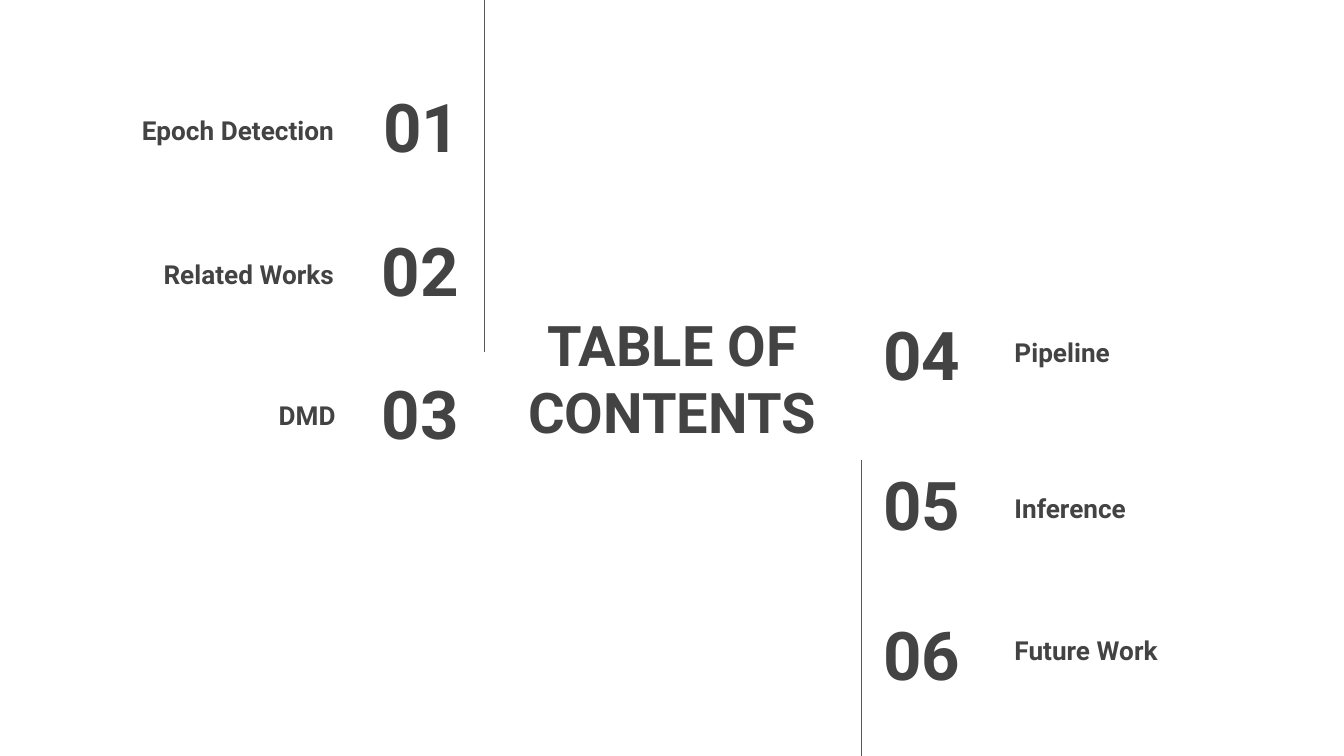
from dataclasses import dataclass

import pptx
import pptx.dml.color
import pptx.enum.shapes
import pptx.enum.text
import pptx.oxml.ns
import pptx.util
from lxml import etree
from pptx.enum.text import MSO_ANCHOR, PP_ALIGN

COLORS = {"background": "FFFFFF", "text": "434343", "rule": "595959"}
FONT = "Roboto"

# Grid of square cells on a 16:9 slide: 100 columns by 56.25 rows
CELL = 0.1
COLS, ROWS = 100, 56.25
BOX_ROWS = 6.3


@dataclass(frozen=True)
class Entry:
    number: str
    label: str
    label_row: float
    number_shift: float = 0  # columns to the right
    label_shift: float = 0


@dataclass(frozen=True)
class Side:
    align: PP_ALIGN
    number_col: float
    number_cols: float
    label_col: float
    first_row: float
    pitch: float
    entries: tuple[Entry, ...]


@dataclass(frozen=True)
class Rule:
    col: float
    top: float
    bottom: float


SIDES = (
    Side(PP_ALIGN.RIGHT, 23.03, 12.1, 4.25, 6.23, 10.65, (
        Entry("01", "Epoch Detection", 5.53, number_shift=0.12),
        Entry("02", "Related Works", 16.23),
        Entry("03", "DMD", 26.74, label_shift=0.12),
    )),
    Side(PP_ALIGN.LEFT, 64.75, 11.7, 74.5, 23.2, 11.15, (
        Entry("04", "Pipeline", 22.1),
        Entry("05", "Inference", 33.7),
        Entry("06", "Future Work", 44.24),
    )),
)
RULES = (Rule(36.07, 0, 26.2), Rule(64.1, 34.23, 56.4))


def cells(n: float) -> pptx.util.Emu:
    return pptx.util.Inches(n * CELL)


def rgb(name: str) -> pptx.dml.color.RGBColor:
    return pptx.dml.color.RGBColor.from_string(COLORS[name])


def place(sp, col: float, row: float, width: float, height: float) -> None:
    sp.left, sp.top = cells(col), cells(row)
    sp.width, sp.height = cells(width), cells(height)


def write(sp, text: str, size: float, align: PP_ALIGN, anchor: MSO_ANCHOR) -> None:
    tf = sp.text_frame
    tf.word_wrap = True
    tf.auto_size = pptx.enum.text.MSO_AUTO_SIZE.NONE
    tf.vertical_anchor = anchor
    tf.margin_left = tf.margin_right = tf.margin_top = tf.margin_bottom = cells(1)
    p = tf.paragraphs[0]
    p.text = text
    p.alignment = align
    p.font.name = FONT
    p.font.size = pptx.util.Pt(size)
    p.font.bold = True
    p.font.color.rgb = rgb("text")


def add_text(s, col: float, row: float, width: float, text: str, size: float,
             align: PP_ALIGN, anchor: MSO_ANCHOR) -> None:
    sp = s.shapes.add_textbox(0, 0, 0, 0)
    place(sp, col, row, width, BOX_ROWS)
    write(sp, text, size, align, anchor)


def add_side(s, side: Side) -> None:
    for i, entry in enumerate(side.entries):
        add_text(s, side.number_col + entry.number_shift, side.first_row + i * side.pitch,
                 side.number_cols, entry.number, 36, side.align, MSO_ANCHOR.MIDDLE)
        add_text(s, side.label_col + entry.label_shift, entry.label_row, 21.6,
                 entry.label, 14, side.align, MSO_ANCHOR.BOTTOM)


def add_rule(s, rule: Rule) -> None:
    line = s.shapes.add_connector(
        pptx.enum.shapes.MSO_CONNECTOR.STRAIGHT,
        cells(rule.col), cells(rule.top), cells(rule.col), cells(rule.bottom))
    line.line.color.rgb = rgb("rule")
    line.line.width = pptx.util.Pt(0.75)
    etree.SubElement(line._element.spPr, pptx.oxml.ns.qn("a:effectLst"))


def main() -> None:
    prs = pptx.Presentation()
    prs.slide_width, prs.slide_height = cells(COLS), cells(ROWS)
    s = prs.slides.add_slide(prs.slide_layouts[5])
    s.background.fill.solid()
    s.background.fill.fore_color.rgb = rgb("background")

    # Title in the centre
    place(s.shapes.title, 37.05, 22.97, 25.9, 10.3)
    write(s.shapes.title, "TABLE OF CONTENTS", 30, PP_ALIGN.CENTER, MSO_ANCHOR.MIDDLE)

    # Numbered contents on both sides
    for side in SIDES:
        add_side(s, side)

    # Vertical rules
    for rule in RULES:
        add_rule(s, rule)

    prs.save("out.pptx")


if __name__ == "__main__":
    main()
